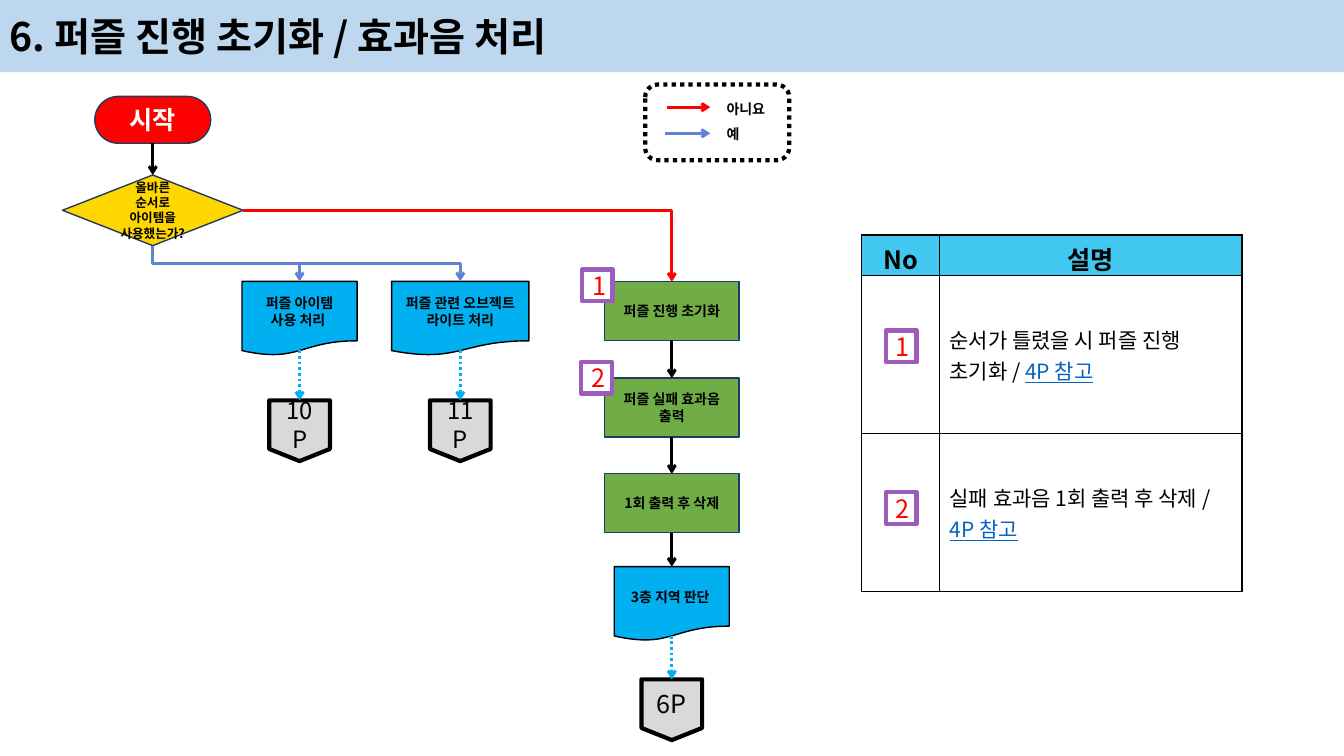
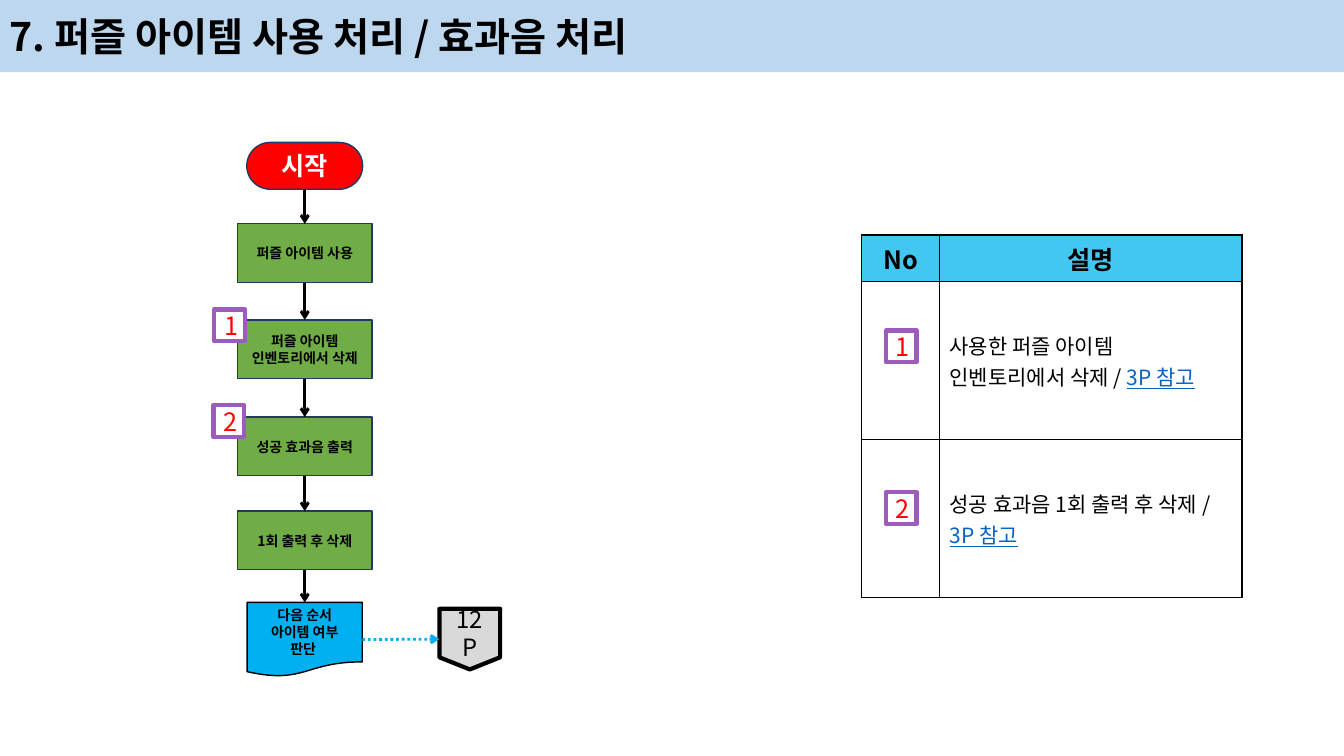
from dataclasses import dataclass

from lxml.etree import SubElement
from pptx import Presentation
from pptx.dml.color import RGBColor
from pptx.enum.dml import MSO_LINE
from pptx.enum.shapes import MSO_CONNECTOR, MSO_SHAPE
from pptx.enum.text import MSO_ANCHOR, PP_ALIGN
from pptx.oxml.ns import qn
from pptx.util import Cm, Pt

FONT = "Noto Sans CJK KR"
BLACK, WHITE, RED, BLUE = "000000", "FFFFFF", "FF0000", "6182D6"
SKY, NAVY, PURPLE = "00B0F0", "223961", "9D5CBB"
BAND, TABLE_HEAD, LINK = "BDD7EE", "42C7F1", "0563C1"
SLIDE_WIDTH, SLIDE_HEIGHT = 33.87, 19.05
TOP, LEFT, BOTTOM, RIGHT = range(4)
DOCUMENT_BOTTOM = 0.93  # share of the height where the wavy edge is joined


@dataclass
class Kind:
    preset: MSO_SHAPE
    width: float
    height: float
    fill: str
    line: str = NAVY
    line_width: float = 1
    size: float = 10
    bold: bool = True
    color: str = BLACK


START = Kind(MSO_SHAPE.ROUNDED_RECTANGLE, 2.92, 1.18, RED, size=18, color=WHITE)
DECISION = Kind(MSO_SHAPE.DIAMOND, 4.55, 1.78, "FFD700", size=9)
PROCESS = Kind(MSO_SHAPE.RECTANGLE, 3.4, 1.48, "70AD47")
DOCUMENT = Kind(MSO_SHAPE.FLOWCHART_DOCUMENT, 2.9, 1.87, SKY, BLACK)
WIDE_DOCUMENT = Kind(MSO_SHAPE.FLOWCHART_DOCUMENT, 3.46, 1.87, SKY, BLACK)
PAGE = Kind(MSO_SHAPE.FLOWCHART_OFFPAGE_CONNECTOR, 1.53, 1.53, "D9D9D9", BLACK,
            3, 17, False)
LAST_PAGE = Kind(MSO_SHAPE.FLOWCHART_OFFPAGE_CONNECTOR, 1.53, 1.53, "D9D9D9",
                 BLACK, 3, 18, False)
BADGE = Kind(MSO_SHAPE.RECTANGLE, 0.77, 0.8, WHITE, PURPLE, 3, 18, False, RED)


def rgb(color):
    return RGBColor.from_string(color)


def style_paragraph(paragraph, size, bold=False, color=BLACK, align=PP_ALIGN.LEFT):
    paragraph.alignment = align
    font = paragraph.font
    font.size, font.bold, font.name = Pt(size), bold, FONT
    font.color.rgb = rgb(color)
    SubElement(font._element, qn("a:ea"), typeface=FONT)


def write(shape, text, size, bold=False, color=BLACK, align=PP_ALIGN.CENTER):
    """Put text in a shape, one paragraph for each line."""
    frame = shape.text_frame
    frame.text = text
    for paragraph in frame.paragraphs:
        style_paragraph(paragraph, size, bold, color, align)
    return frame


def add_box(shapes, preset, left, top, width, height, fill=None, line=None,
            line_width=1):
    shape = shapes.add_shape(preset, Cm(left), Cm(top), Cm(width), Cm(height))
    shape.shadow.inherit = False
    if fill:
        shape.fill.solid()
        shape.fill.fore_color.rgb = rgb(fill)
    else:
        shape.fill.background()
    if line:
        shape.line.color.rgb = rgb(line)
        shape.line.width = Pt(line_width)
    else:
        shape.line.fill.background()
    return shape


def add_node(slide, kind, text, center, top):
    shape = add_box(slide.shapes, kind.preset, center - kind.width / 2, top,
                    kind.width, kind.height, kind.fill, kind.line, kind.line_width)
    if kind is START:
        shape.adjustments[0] = 0.5
    frame = write(shape, text, kind.size, kind.bold, kind.color)
    frame.word_wrap = True
    frame.vertical_anchor = MSO_ANCHOR.MIDDLE
    return shape


def add_badges(slide, places):
    for number, (left, top) in enumerate(places, 1):
        add_node(slide, BADGE, str(number), left + BADGE.width / 2, top)


def add_arrow(shapes, color, start=(0, 0), end=(0, 0), dotted=False,
              form=MSO_CONNECTOR.STRAIGHT):
    connector = shapes.add_connector(form, *(Cm(value) for value in (*start, *end)))
    connector.line.color.rgb = rgb(color)
    connector.line.width = Pt(2)
    if dotted:
        connector.line.dash_style = MSO_LINE.ROUND_DOT
    SubElement(connector.line._get_or_add_ln(), qn("a:tailEnd"), type="arrow")
    SubElement(connector._element.spPr, qn("a:effectLst"))
    return connector


def join(slide, source, target, color=BLACK, sites=(BOTTOM, TOP), dotted=False,
         form=MSO_CONNECTOR.STRAIGHT):
    connector = add_arrow(slide.shapes, color, dotted=dotted, form=form)
    connector.begin_connect(source, sites[0])
    connector.end_connect(target, sites[1])
    if (source.auto_shape_type == MSO_SHAPE.FLOWCHART_DOCUMENT
            and sites[0] == BOTTOM):
        connector.begin_y = source.top + int(DOCUMENT_BOTTOM * source.height)
    return connector


def join_chain(slide, nodes):
    for source, target in zip(nodes, nodes[1:]):
        join(slide, source, target)


def join_down_elbow(slide, source, target):
    """Bent arrow that leaves downwards, runs sideways and arrives downwards."""
    connector = join(slide, source, target, BLUE, form=MSO_CONNECTOR.ELBOW)
    across, down = connector.width, connector.height
    middle_x, middle_y = connector.left + across // 2, connector.top + down // 2
    connector.left, connector.top = middle_x - down // 2, middle_y - across // 2
    connector.width, connector.height = down, across
    frame = connector._element.spPr.find(qn("a:xfrm"))
    frame.set("rot", "5400000")
    frame.set("flipV", "1")


def join_corner(slide, source, target):
    """Bent arrow with one corner: sideways, then down."""
    connector = join(slide, source, target, RED, (RIGHT, TOP),
                     form=MSO_CONNECTOR.ELBOW)
    connector._element.spPr.find(qn("a:prstGeom")).set("prst", "bentConnector2")


def add_legend(slide):
    shapes = slide.shapes.add_group_shape().shapes
    for label, color, left, arrow_top, text_top, width in (
            ("예", BLUE, 16.77, 3.36, 3.05, 0.94),
            ("아니요", RED, 16.8, 2.7, 2.41, 1.65)):
        add_arrow(shapes, color, (left, arrow_top), (17.9, arrow_top))
        box = shapes.add_textbox(Cm(18.06), Cm(text_top), Cm(width), Cm(1.09))
        write(box, label, 10, True, align=PP_ALIGN.LEFT).word_wrap = False
    border = add_box(shapes, MSO_SHAPE.ROUNDED_RECTANGLE, 16.26, 2.13, 3.63, 1.91,
                     line=BLACK, line_width=3)
    border.line.dash_style = MSO_LINE.ROUND_DOT


def style_cell(cell, fill):
    cell.fill.solid()
    cell.fill.fore_color.rgb = rgb(fill)
    cell.vertical_anchor = MSO_ANCHOR.MIDDLE
    properties = cell._tc.get_or_add_tcPr()
    for index, side in enumerate(("a:lnL", "a:lnR", "a:lnT", "a:lnB")):
        border = SubElement(properties, qn(side), w=str(Pt(1)))
        paint = SubElement(border, qn("a:solidFill"))
        SubElement(paint, qn("a:srgbClr"), val=BLACK)
        properties.insert(index, border)


def add_description_table(slide, head_height, page, descriptions):
    row_height, widths = 3.98, (1.96, 7.62)
    table = slide.shapes.add_table(
        len(descriptions) + 1, 2, Cm(21.72), Cm(5.92), Cm(sum(widths)),
        Cm(head_height + row_height * len(descriptions))).table
    for column, width in zip(table.columns, widths):
        column.width = Cm(width)
    for index, row in enumerate(table.rows):
        row.height = Cm(row_height if index else head_height)
        for cell in row.cells:
            style_cell(cell, WHITE if index else TABLE_HEAD)
    for cell, text in zip(table.rows[0].cells, ("No", "설명")):
        write(cell, text, 18, True)
        cell.vertical_anchor = MSO_ANCHOR.TOP
        cell.margin_bottom = 0
    for index, description in enumerate(descriptions, 1):
        paragraph = table.cell(index, 1).text_frame.paragraphs[0]
        style_paragraph(paragraph, 15)
        paragraph.add_run().text = f"{description} / "
        link = paragraph.add_run()
        link.text = f"{page} 참고"
        link.font.color.rgb = rgb(LINK)
        link.font.underline = True
    add_badges(slide, ((22.33, 8.33), (22.33, 12.4)))


def add_titled_slide(presentation, title):
    slide = presentation.slides.add_slide(presentation.slide_layouts[6])
    band = add_box(slide.shapes, MSO_SHAPE.RECTANGLE, 0, 0, SLIDE_WIDTH, 1.82, BAND)
    frame = write(band, title, 28, True, align=PP_ALIGN.LEFT)
    frame.vertical_anchor = MSO_ANCHOR.MIDDLE
    return slide


def build_reset_slide(presentation):
    slide = add_titled_slide(presentation, "6. 퍼즐 진행 초기화 / 효과음 처리")
    start = add_node(slide, START, "시작", 3.85, 2.43)
    decision = add_node(slide, DECISION, "올바른 순서로 아이템을 사용했는가?", 3.85, 4.41)
    join(slide, start, decision)
    add_legend(slide)

    for kind, text, center, page in (
            (DOCUMENT, "퍼즐 아이템\n사용 처리 ", 7.55, "10P"),
            (WIDE_DOCUMENT, "퍼즐 관련 오브젝트 라이트 처리", 11.6, "11P")):
        document = add_node(slide, kind, text, center, 7.09)
        join_down_elbow(slide, decision, document)
        page_node = add_node(slide, PAGE, page, center, 10.09)
        join(slide, document, page_node, SKY, dotted=True)

    chain = [add_node(slide, kind, text, 16.93, top) for kind, text, top in (
        (PROCESS, "퍼즐 진행 초기화", 7.1),
        (PROCESS, "퍼즐 실패 효과음 출력", 9.53),
        (PROCESS, "1회 출력 후 삭제", 11.94),
        (DOCUMENT, "3층 지역 판단 ", 14.28))]
    join_corner(slide, decision, chain[0])
    join_chain(slide, chain)
    page_node = add_node(slide, LAST_PAGE, "6P", 16.93, 17.12)
    join(slide, chain[-1], page_node, SKY, dotted=True)

    add_description_table(slide, 1.03, "4P", (
        "순서가 틀렸을 시 퍼즐 진행 초기화", "실패 효과음 1회 출력 후 삭제"))
    add_badges(slide, ((14.67, 6.79), (14.65, 9.12)))


def build_item_slide(presentation):
    slide = add_titled_slide(presentation, "7. 퍼즐 아이템 사용 처리 / 효과음 처리")
    chain = [add_node(slide, kind, text, 7.68, top) for kind, text, top in (
        (START, "시작", 3.59),
        (PROCESS, "퍼즐 아이템 사용", 5.64),
        (PROCESS, "퍼즐 아이템 인벤토리에서 삭제", 8.06),
        (PROCESS, "성공 효과음 출력", 10.51),
        (PROCESS, "1회 출력 후 삭제", 12.88),
        (DOCUMENT, "다음 순서 아이템 여부 판단 ", 15.18))]
    join_chain(slide, chain)
    page_node = add_node(slide, PAGE, "12P", 11.84, 15.34)
    join(slide, chain[-1], page_node, SKY, (RIGHT, LEFT), dotted=True)

    add_description_table(slide, 1.18, "3P", (
        "사용한 퍼즐 아이템 인벤토리에서 삭제", "성공 효과음 1회 출력 후 삭제"))
    add_badges(slide, ((5.4, 7.8), (5.38, 10.21)))


def main():
    presentation = Presentation()
    presentation.slide_width = Cm(SLIDE_WIDTH)
    presentation.slide_height = Cm(SLIDE_HEIGHT)
    build_reset_slide(presentation)
    build_item_slide(presentation)
    presentation.save("out.pptx")


if __name__ == "__main__":
    main()
